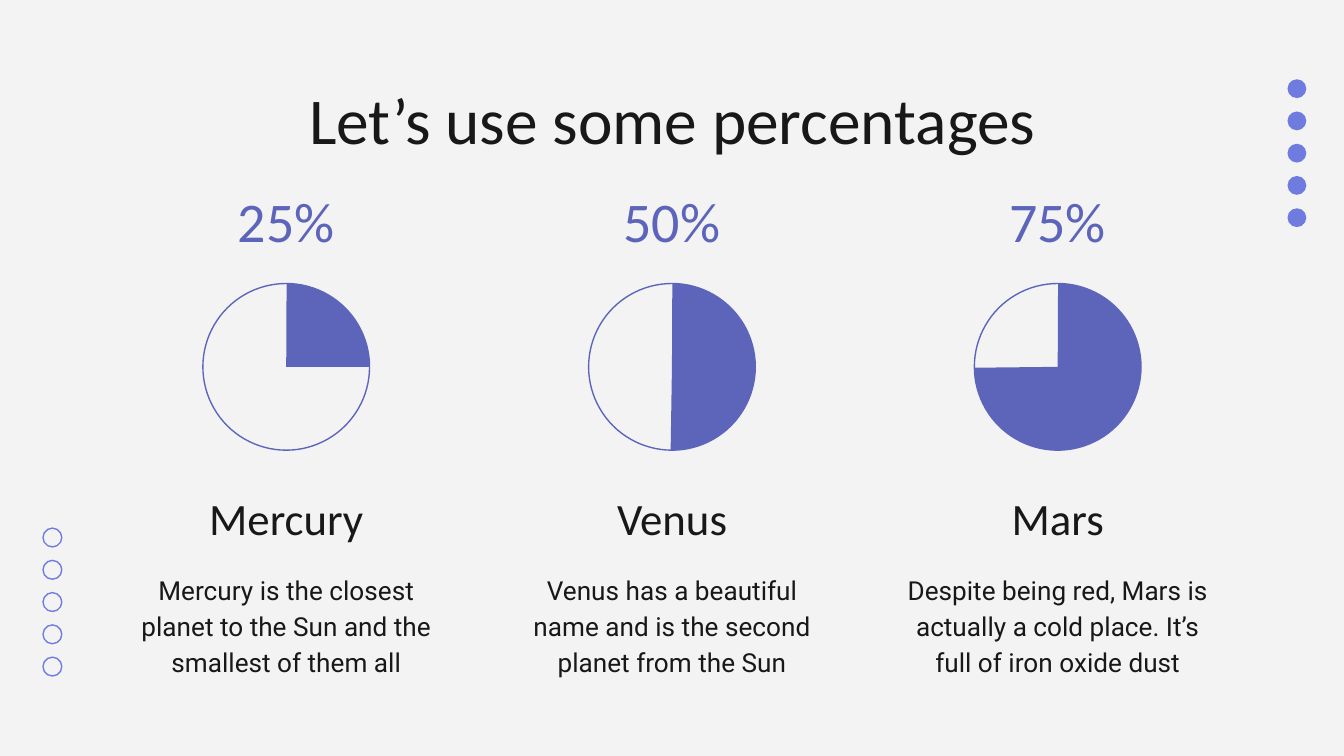
from pptx import Presentation
from pptx.dml.color import RGBColor
from pptx.enum.shapes import MSO_SHAPE
from pptx.enum.text import MSO_ANCHOR, MSO_AUTO_SIZE, PP_ALIGN
from pptx.util import Inches, Pt

BACKGROUND = RGBColor(0xF3, 0xF3, 0xF3)
INK = RGBColor(0x18, 0x18, 0x18)
INDIGO = RGBColor(0x5D, 0x65, 0xBB)
PERIWINKLE = RGBColor(0x70, 0x7B, 0xE0)

HEADING_FONT = "Calibri"
BODY_FONT = "Roboto"

SLIDE_WIDTH = 10
FIRST_CENTER = 2.13
COLUMN_STEP = 2.87
PIE_SIZE = 1.24
PIE_TOP = 2.11
PIE_START = 270.27
DOT_SIZE = 0.14
DOT_STEP = 0.24
DOT_COUNT = 5

# Share, end angle of the sector in degrees, planet, description
PLANETS = [
    ("25%", 0.06, "Mercury",
     "Mercury is the closest planet to the Sun and the smallest of them all"),
    ("50%", 90.89, "Venus",
     "Venus has a beautiful name and is the second planet from the Sun"),
    ("75%", 179.37, "Mars",
     "Despite being red, Mars is actually a cold place. It’s full of iron oxide dust"),
]


def write_text(holder, text, size, color=INK, font=HEADING_FONT,
               anchor=MSO_ANCHOR.TOP, line_spacing=1.0):
    frame = holder.text_frame
    frame.word_wrap = True
    frame.auto_size = MSO_AUTO_SIZE.NONE
    frame.vertical_anchor = anchor
    frame.margin_left = frame.margin_right = Inches(0.1)
    frame.margin_top = frame.margin_bottom = Inches(0.1)
    paragraph = frame.paragraphs[0]
    paragraph.alignment = PP_ALIGN.CENTER
    paragraph.line_spacing = line_spacing
    run = paragraph.add_run()
    run.text = text
    run.font.name = font
    run.font.size = Pt(size)
    run.font.color.rgb = color


def add_title(slide, text):
    title = slide.shapes.title
    title.left, title.top = Inches(0.79), Inches(0.49)
    title.width, title.height = Inches(8.43), Inches(0.63)
    write_text(title, text, 35)


def add_centered_text(slide, center, top, width, height, text, size, **style):
    box = slide.shapes.add_textbox(
        Inches(center - width / 2), Inches(top), Inches(width), Inches(height))
    write_text(box, text, size, **style)


def add_round_shape(slide, kind, left, top, size, fill=None, line=None):
    shape = slide.shapes.add_shape(
        kind, Inches(left), Inches(top), Inches(size), Inches(size))
    shape.shadow.inherit = False
    if fill is None:
        shape.fill.background()
    else:
        shape.fill.solid()
        shape.fill.fore_color.rgb = fill
    if line is None:
        shape.line.fill.background()
    else:
        shape.line.color.rgb = line
        shape.line.width = Pt(0.75)
    return shape


def add_dot_column(slide, left, top, **colors):
    for index in range(DOT_COUNT):
        add_round_shape(slide, MSO_SHAPE.OVAL, left, top + index * DOT_STEP,
                        DOT_SIZE, **colors)


def adjustment_for(degrees):
    """Convert degrees to python-pptx's unit (60000ths of a degree / 100000)."""
    return degrees * 0.6


def add_share_pie(slide, center, end_angle):
    left = center - PIE_SIZE / 2
    add_round_shape(slide, MSO_SHAPE.OVAL, left, PIE_TOP, PIE_SIZE, line=INDIGO)
    sector = add_round_shape(slide, MSO_SHAPE.PIE, left, PIE_TOP, PIE_SIZE,
                             fill=INDIGO)
    sector.adjustments[0] = adjustment_for(PIE_START)
    sector.adjustments[1] = adjustment_for(end_angle)


def add_planet(slide, center, share, end_angle, planet, description):
    add_centered_text(slide, center, 1.42, 1.53, 0.44, share, 30,
                      color=INDIGO, anchor=MSO_ANCHOR.MIDDLE)
    add_share_pie(slide, center, end_angle)
    add_centered_text(slide, center, 3.6, 2.45, 0.55, planet, 24,
                      anchor=MSO_ANCHOR.BOTTOM, line_spacing=1.15)
    add_centered_text(slide, center, 4.14, 2.45, 0.89, description, 14,
                      font=BODY_FONT, line_spacing=1.15)


def main():
    presentation = Presentation()
    presentation.slide_width = Inches(SLIDE_WIDTH)
    presentation.slide_height = Inches(SLIDE_WIDTH * 9 / 16)
    title_only = presentation.slide_layouts[5]
    slide = presentation.slides.add_slide(title_only)
    slide.background.fill.solid()
    slide.background.fill.fore_color.rgb = BACKGROUND

    add_dot_column(slide, 0.32, 3.93, line=PERIWINKLE)
    add_dot_column(slide, 9.58, 0.59, fill=PERIWINKLE)
    add_title(slide, "Let’s use some percentages")
    for index, planet in enumerate(PLANETS):
        add_planet(slide, FIRST_CENTER + index * COLUMN_STEP, *planet)

    presentation.save("out.pptx")


if __name__ == "__main__":
    main()
